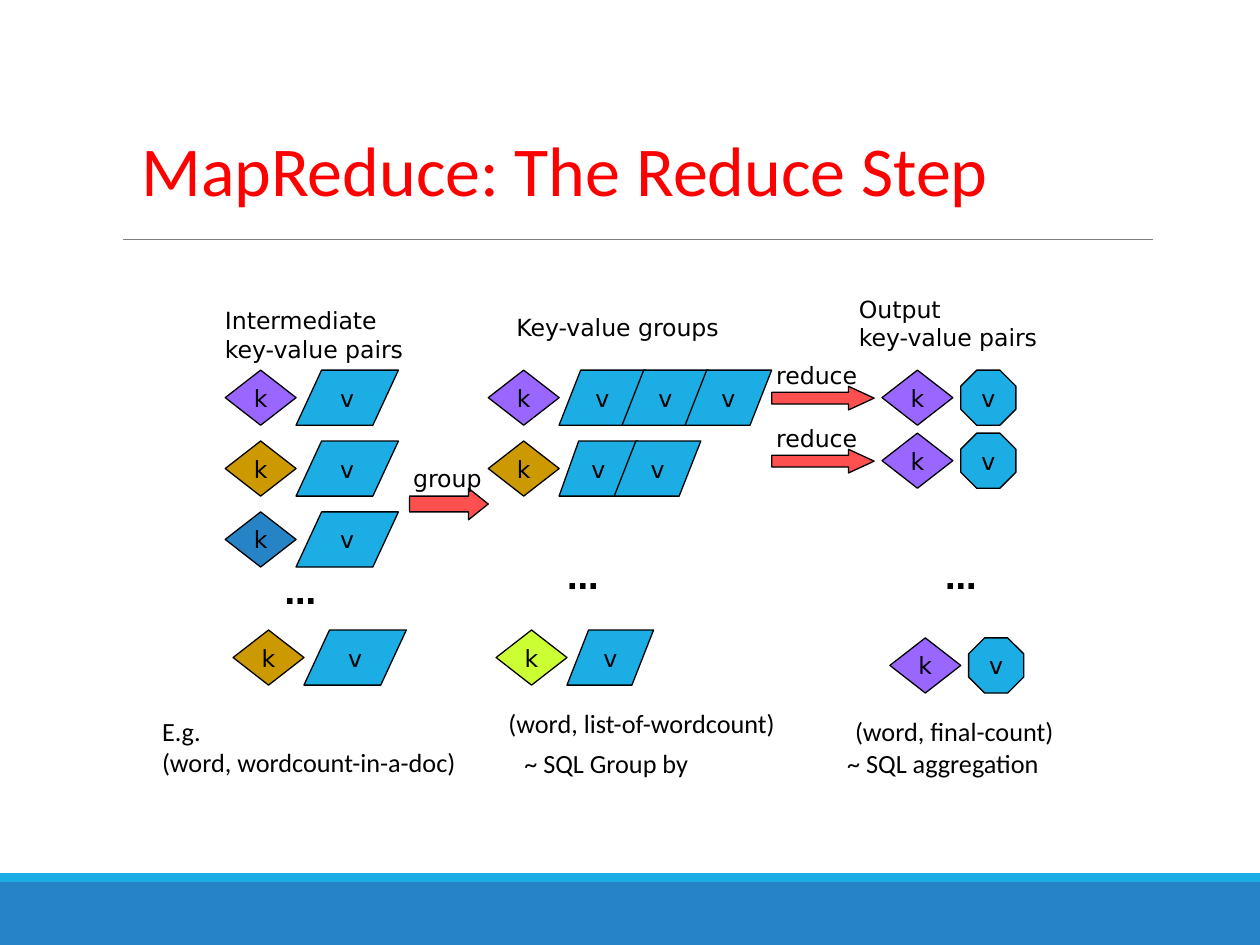
from pptx import Presentation
from pptx import util as u
from pptx.dml.color import RGBColor
from pptx.enum import shapes, text

SHAPE = shapes.MSO_SHAPE
BLACK, PURPLE, GOLD, BLUE, LIME = "000000", "9966FF", "CC9900", "2683C6", "CCFF33"
CYAN, RED, GRAY = "1CADE4", "FF5050", "7F7F7F"
KEY_WIDTH, ROW_HEIGHT = 40.5, 31.5
SLANT = 0.25

TITLE = "MapReduce: The Reduce Step"
TITLE_FORMAT = {"name": "Calibri", "size": u.Pt(40)}
LABEL = {"name": "DejaVu Sans", "size": u.Pt(13.5)}
DOTS = {"name": "DejaVu Sans", "size": u.Pt(18), "bold": True}
NOTE = {"name": "Calibri", "size": u.Pt(15)}

BANDS = [(504, 36, BLUE), (499, 5, CYAN)]
PAIR_ROWS = [
    (128.7, 211.5, PURPLE, [(0, 58.5)]),
    (128.7, 252, GOLD, [(0, 58.5)]),
    (128.7, 292.5, BLUE, [(0, 58.5)]),
    (133.2, 360, GOLD, [(0, 58.5)]),
    (279, 211.5, PURPLE, [(0, 49.5), (36, 49.5), (72, 49.5)]),
    (279, 252, GOLD, [(0, 45), (31.5, 49.5)]),
    (283.5, 360, LIME, [(0, 49.5)]),
]
OUTPUT_ROWS = [(504, 211.5), (504, 247.5), (508.5, 364.5)]
ARROWS = [
    (234, 279, 45, 18, 0.625),
    (441, 220.8, 58.5, 13.5, 1.08),
    (441, 256.8, 58.5, 13.5, 1.08),
]
TEXTS = [
    ("Intermediate\nkey-value pairs", 121.5, 171.5, 119, 40, LABEL),
    ("Key-value groups", 288, 175.5, 140, 24, LABEL),
    ("Output\nkey-value pairs", 483.8, 165, 119, 40, LABEL),
    ("group", 229, 261.5, 54, 24, LABEL),
    ("reduce", 436.5, 202.8, 60.5, 24, LABEL),
    ("reduce", 436.5, 238.8, 60.5, 24, LABEL),
    ("…", 155.5, 324, 34, 29, DOTS),
    ("…", 317, 315.3, 34, 29, DOTS),
    ("…", 533, 315.3, 34, 29, DOTS),
    ("E.g.\v(word, wordcount-in-a-doc)", 85.5, 405, 184, 44, NOTE),
    ("(word, list-of-wordcount)", 283.5, 400.8, 169, 25, NOTE),
    ("(word, final-count)", 481.5, 405, 129, 25, NOTE),
    ("~ SQL Group by", 292.5, 423.5, 109, 25, NOTE),
    ("~ SQL aggregation", 477, 423.5, 124.5, 25, NOTE),
]


def color(value):
    return RGBColor.from_string(value)


def points(*lengths):
    return [u.Pt(length) for length in lengths]


def write(frame, words, formats, font_color=BLACK, align=text.PP_ALIGN.LEFT):
    frame.text = words
    for paragraph in frame.paragraphs:
        paragraph.alignment = align
        for run in paragraph.runs:
            for name, value in formats.items():
                setattr(run.font, name, value)
            run.font.color.rgb = color(font_color)


def add_box(kind, left, top, width, height, fill, outlined=True, words="", adjustments=()):
    shape = slide.shapes.add_shape(kind, *points(left, top, width, height))
    shape.shadow.inherit = False
    shape.fill.solid()
    shape.fill.fore_color.rgb = color(fill)
    if outlined:
        shape.line.color.rgb = color(BLACK)
        shape.line.width = u.Pt(0.75)
    else:
        shape.line.fill.background()
    for index, value in enumerate(adjustments):
        shape.adjustments[index] = value
    if words:
        shape.text_frame.word_wrap = False
        shape.text_frame.vertical_anchor = text.MSO_ANCHOR.MIDDLE
        write(shape.text_frame, words, LABEL, align=text.PP_ALIGN.CENTER)


def add_key(left, top, fill):
    add_box(SHAPE.DIAMOND, left, top, KEY_WIDTH, ROW_HEIGHT, fill, words="k")


presentation = Presentation()
presentation.slide_width, presentation.slide_height = points(720, 540)
slide = presentation.slides.add_slide(presentation.slide_layouts[5])

for top, height, fill in BANDS:
    add_box(SHAPE.RECTANGLE, 0, top, 720, height, fill, outlined=False)

rule = slide.shapes.add_connector(shapes.MSO_CONNECTOR.STRAIGHT, *points(70.5, 136.8, 659, 136.8))
rule.line.color.rgb = color(GRAY)
rule.line.width = u.Pt(0.75)
rule_properties = rule._element.spPr
rule_properties.append(rule_properties.makeelement(
    "{http://schemas.openxmlformats.org/drawingml/2006/main}effectLst", {}))

title = slide.shapes.title
title.left, title.top, title.width, title.height = points(73.5, 60, 564, 64)
write(title.text_frame, TITLE, TITLE_FORMAT, "FF0000")
title.text_frame.auto_size = text.MSO_AUTO_SIZE.NONE
title.text_frame.vertical_anchor = text.MSO_ANCHOR.BOTTOM
title.text_frame.paragraphs[0].line_spacing = 0.85

for left, top, fill, values in PAIR_ROWS:
    add_key(left, top, fill)
    for offset, width in values:
        add_box(SHAPE.PARALLELOGRAM, left + KEY_WIDTH + offset, top, width, ROW_HEIGHT, CYAN,
                words="v", adjustments=[SLANT * width / ROW_HEIGHT])

for left, top in OUTPUT_ROWS:
    add_key(left, top, PURPLE)
    add_box(SHAPE.OCTAGON, left + KEY_WIDTH + 4.5, top, ROW_HEIGHT, ROW_HEIGHT, CYAN,
            words="v", adjustments=[0.29])

for left, top, width, height, head in ARROWS:
    add_box(SHAPE.RIGHT_ARROW, left, top, width, height, RED, adjustments=[0.5, head])

for words, left, top, width, height, formats in TEXTS:
    box = slide.shapes.add_textbox(*points(left, top, width, height))
    box.text_frame.word_wrap = False
    write(box.text_frame, words, formats)

presentation.save("out.pptx")
